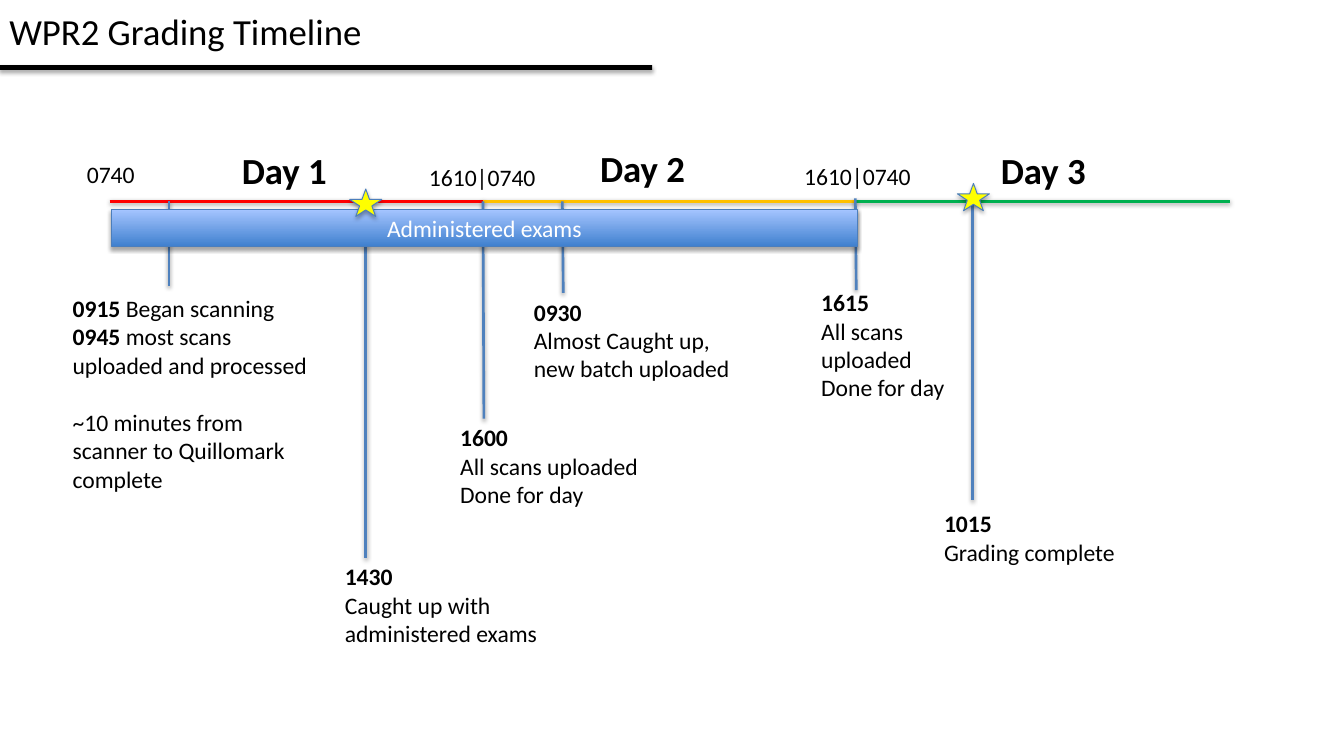
import pptx
import pptx.util
import pptx.dml.color
import pptx.enum.shapes
import pptx.enum.text
import pptx.oxml
import pptx.oxml.ns

RGBColor = pptx.dml.color.RGBColor
Pt = pptx.util.Pt
SHAPE = pptx.enum.shapes.MSO_SHAPE
ANCHOR = pptx.enum.text.MSO_ANCHOR
ALIGN = pptx.enum.text.PP_ALIGN

BLACK = RGBColor(0x00, 0x00, 0x00)
WHITE = RGBColor(0xFF, 0xFF, 0xFF)
RED = RGBColor(0xFF, 0x00, 0x00)
AMBER = RGBColor(0xFF, 0xC0, 0x00)
GREEN = RGBColor(0x00, 0xB0, 0x50)
BLUE = RGBColor(0x4F, 0x81, 0xBD)
OUTLINE = RGBColor(0x4B, 0x7E, 0xBC)
BAR_BOTTOM = RGBColor(0x3F, 0x80, 0xCE)
BAR_TOP = RGBColor(0xA4, 0xC4, 0xFF)
YELLOW = RGBColor(0xFF, 0xFF, 0x00)

FONT = "Calibri"
PX = 9144
AXIS_X, AXIS_Y, DAY_W = 116, 213, 395

TITLE = "WPR2 Grading Timeline"
BAR_TEXT = "Administered exams"
DAY_COLORS = [RED, AMBER, GREEN]
DAY_LABELS = [("Day 1", 246, 151), ("Day 2", 625, 149), ("Day 3", 1049, 151)]
TIME_LABELS = [("0740", 82, 164, 71), ("1610|0740", 444, 167, 134), ("1610|0740", 841, 166, 134)]
MARKERS = [
    (179, 213, 179, 303),
    (387, 211, 387, 590),
    (511, 213, 512, 443),
    (595, 213, 596, 310),
    (905, 210, 906, 307),
    (1029, 213, 1029, 529),
]
STARS = [(1013, 194), (370, 200)]
NOTES = [
    ((67, 306, 270, 222), [
        [("0915", True), (" Began scanning ", False), ("0945", True),
         (" most scans uploaded and processed", False)],
        [("~10 minutes from scanner to Quillomark complete", False)],
    ], 22),
    ((355, 590, 270, 101), [
        [("1430", True)], [("Caught up with administered exams", False)]], 0),
    ((477, 443, 220, 101), [
        [("1600", True)], [("All scans uploaded", False)], [("Done for day", False)]], 0),
    ((555, 310, 244, 101), [
        [("0930", True)], [("Almost Caught up, new batch uploaded", False)]], 0),
    ((859, 300, 192, 131), [
        [("1615", True)], [("All scans uploaded", False)], [("Done for day", False)]], 0),
    ((989, 534, 230, 71), [
        [("1015", True)], [("Grading complete", False)]], 0),
]


def px(*values):
    return [pptx.util.Emu(v * PX) for v in values]


def add_shadow(s, distance, alpha):
    s._element.spPr.append(pptx.oxml.parse_xml(
        f'<a:effectLst {pptx.oxml.ns.nsdecls("a")}>'
        f'<a:outerShdw blurRad="40000" dist="{distance}" dir="5400000" rotWithShape="0">'
        f'<a:srgbClr val="000000"><a:alpha val="{alpha}000"/></a:srgbClr>'
        '</a:outerShdw></a:effectLst>'))


def add_run(p, text, size, bold=False, color=BLACK):
    r = p.add_run()
    r.text = text
    r.font.name = FONT
    r.font.size = Pt(size)
    r.font.bold = bold
    r.font.color.rgb = color


def add_text(slide, box, paragraphs, size, wrap=True, gap=0, anchor=ANCHOR.TOP):
    tf = slide.shapes.add_textbox(*px(*box)).text_frame
    tf.word_wrap = wrap
    tf.vertical_anchor = anchor
    for i, runs in enumerate(paragraphs):
        p = tf.add_paragraph() if i else tf.paragraphs[0]
        p.space_before = Pt(gap if i else 0)
        for text, bold in runs:
            add_run(p, text, size, bold)


def add_line(slide, ends, color):
    s = slide.shapes.add_connector(pptx.enum.shapes.MSO_CONNECTOR.STRAIGHT, *px(*ends))
    s.line.color.rgb = color
    s.line.width = Pt(2)
    add_shadow(s, 20000, 38)


def add_shape(slide, kind, box, fill=None, outline=None):
    s = slide.shapes.add_shape(kind, *px(*box))
    if fill is None:
        s.fill.gradient()
        s.fill.gradient_angle = 90
        for stop, color, position in zip(s.fill.gradient_stops, (BAR_BOTTOM, BAR_TOP), (0, 1)):
            stop.color.rgb = color
            stop.position = position
    else:
        s.fill.solid()
        s.fill.fore_color.rgb = fill
    if outline is None:
        s.line.fill.background()
    else:
        s.line.color.rgb = outline
        s.line.width = Pt(0.75)
    add_shadow(s, 23000, 35)
    return s


def main():
    prs = pptx.Presentation()
    prs.slide_width, prs.slide_height = px(1422, 800)
    slide = prs.slides.add_slide(prs.slide_layouts[6])

    add_shape(slide, SHAPE.RECTANGLE, (0, 69, 690, 5), BLACK)
    add_text(slide, (0, -11, 690, 87), [[(TITLE, False)]], 28, anchor=ANCHOR.MIDDLE)

    for i, color in enumerate(DAY_COLORS):
        x = AXIS_X + i * DAY_W
        add_line(slide, (x, AXIS_Y, x + DAY_W, AXIS_Y), color)
    for text, x, y in DAY_LABELS:
        add_text(slide, (x, y, 111, 57), [[(text, True)]], 28, wrap=False)
    for text, x, y, w in TIME_LABELS:
        add_text(slide, (x, y, w, 40), [[(text, False)]], 18, wrap=False)

    for ends in MARKERS:
        add_line(slide, ends, BLUE)
    for box, paragraphs, gap in NOTES:
        add_text(slide, box, paragraphs, 18, gap=gap)

    bar = add_shape(slide, SHAPE.RECTANGLE, (118, 222, 789, 39), outline=OUTLINE)
    tf = bar.text_frame
    tf.vertical_anchor = ANCHOR.MIDDLE
    p = tf.paragraphs[0]
    p.alignment = ALIGN.CENTER
    add_run(p, BAR_TEXT, 18, color=WHITE)

    for x, y in STARS:
        add_shape(slide, SHAPE.STAR_5_POINT, (x, y, 34, 29), YELLOW, OUTLINE)

    prs.save("out.pptx")


if __name__ == "__main__":
    main()
